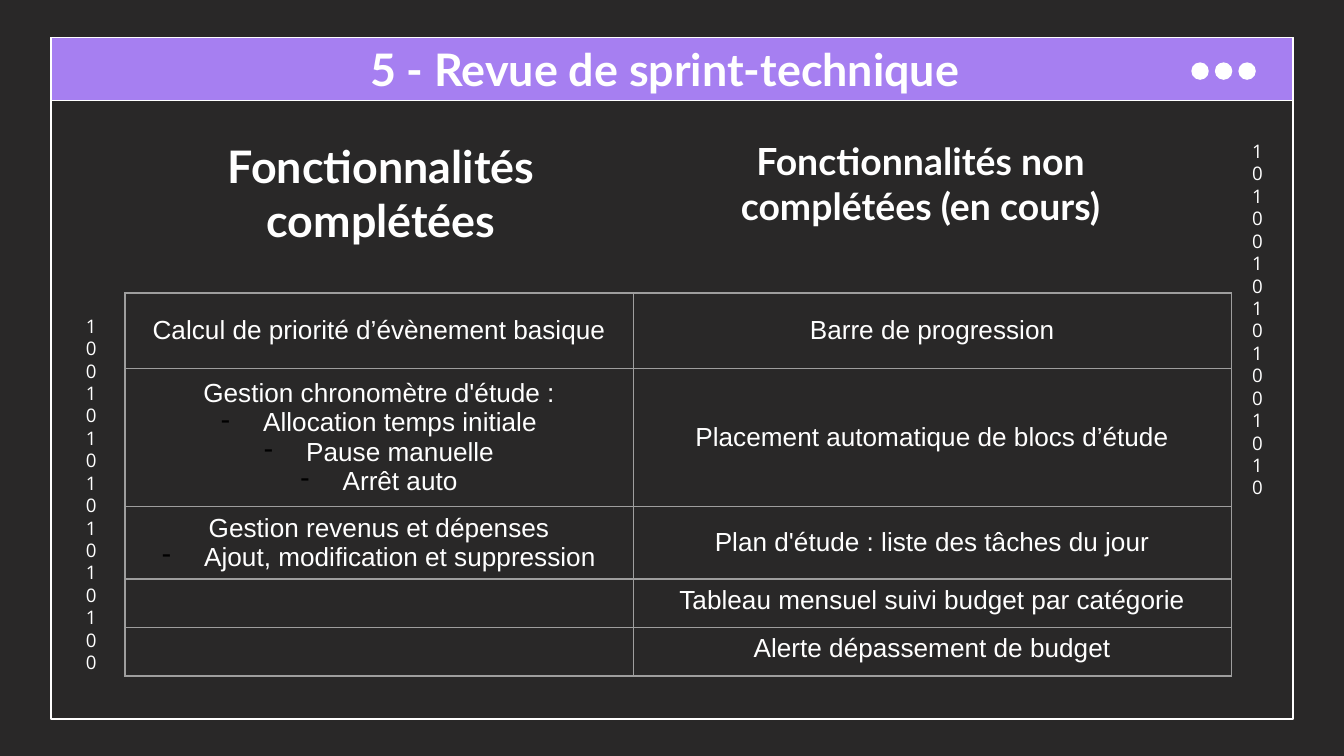
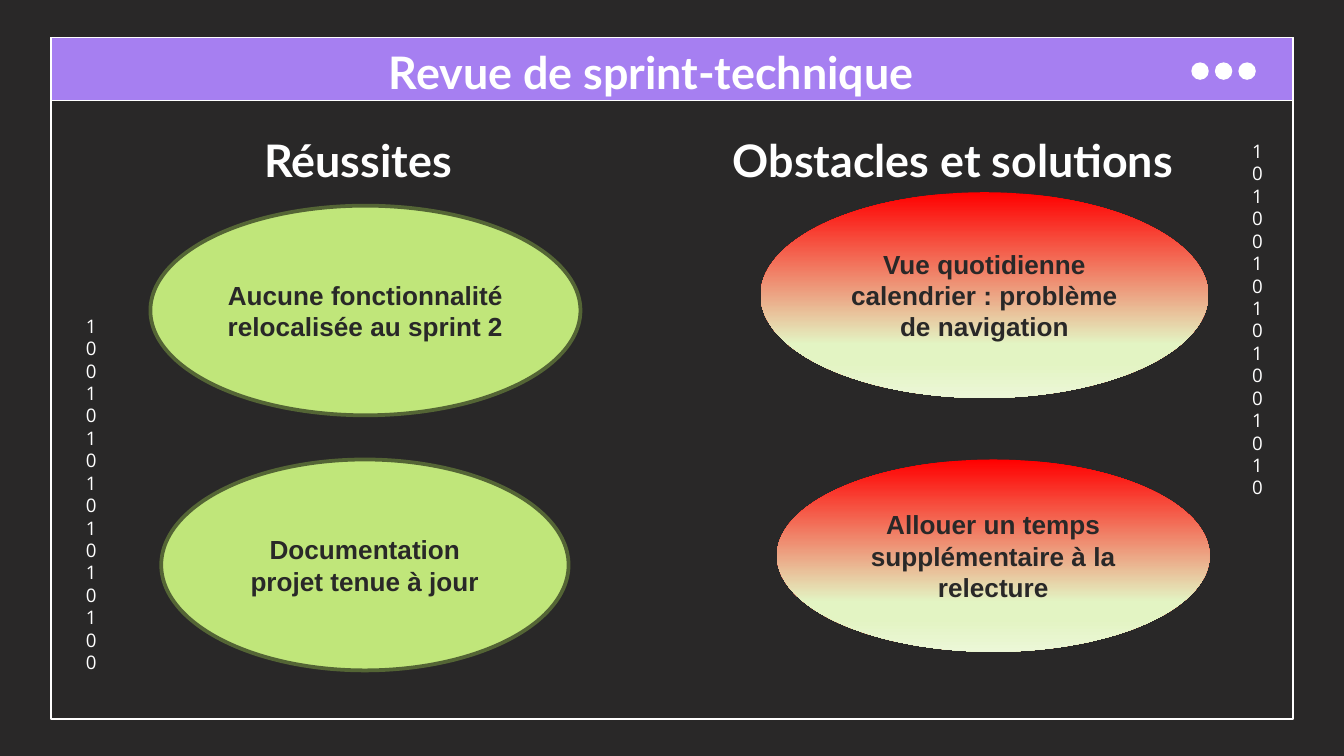
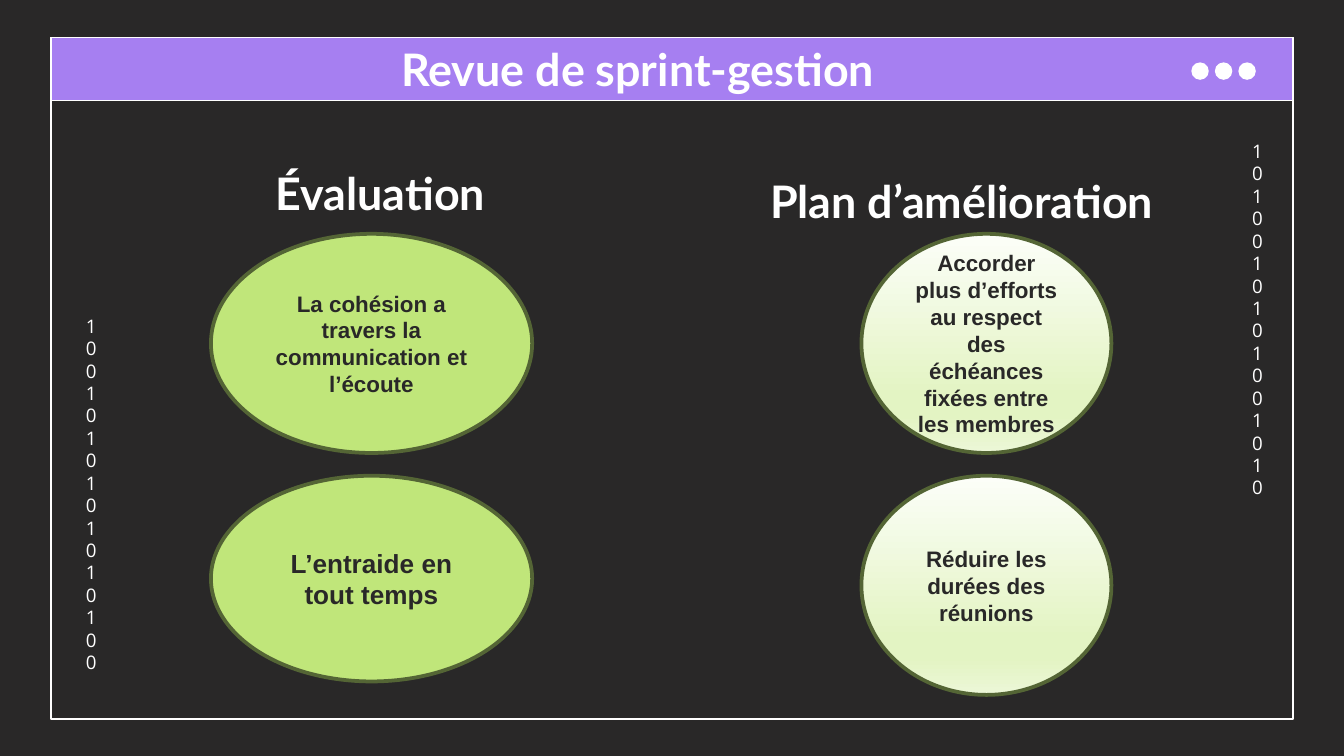
from lxml.etree import SubElement
from pptx import Presentation
from pptx.dml.color import RGBColor
from pptx.enum.shapes import MSO_SHAPE as Preset
from pptx.enum.text import MSO_ANCHOR as Anchor, MSO_AUTO_SIZE as AutoSize, PP_ALIGN as Align
from pptx.oxml.ns import qn
from pptx.util import Pt

WHITE = RGBColor(0xFF, 0xFF, 0xFF)
DARK = RGBColor(0x29, 0x28, 0x28)
PURPLE = RGBColor(0xA6, 0x7F, 0xF1)
GREEN = RGBColor(0xC0, 0xE6, 0x7A)
OLIVE = RGBColor(0x54, 0x65, 0x35)
GREY = RGBColor(0x9E, 0x9E, 0x9E)
BLACK = RGBColor(0, 0, 0)
RED = RGBColor(0xFF, 0, 0)
CREAM = RGBColor(0xFC, 0xFE, 0xF8)
PALE = RGBColor(0xE3, 0xF4, 0xC3)
PALEST = RGBColor(0xEC, 0xF7, 0xD7)

RED_FADE = [(0, RED), (74, PALE), (83, PALE), (100, PALEST)]
CREAM_FADE = [(0, CREAM), (74, PALE), (83, PALE), (100, PALEST)]

TITLE_FONT, BODY_FONT, DIGIT_FONT = "Lato", "Arial", "Open Sans"
INSET = 7.2

# Boxes are (left, top, width, height) in points.
FRAME = (27.4, 20.2, 665.3, 365)
BAND_HEIGHT = 33.8
DOT_LEFT, DOT_TOP, DOT_SIZE, DOT_STEP, DOT_COUNT = 638.6, 33.8, 8.6, 12.6, 3
DIGIT_COLUMNS = [
    ("1010010101001010", (663.8, 67.7, 17.3, 201.6)),
    ("1001010101010100", (38.9, 161.3, 17.3, 201.6)),
]

# Headings: text, size, box. Bubbles: text, size, fill, outline, box.
SLIDES = [
    {
        "title": ("5 - Revue de sprint-technique", (85.7, 15.1, 540.7, 38.2)),
        "headings": [
            ("Fonctionnalités complétées", 24, (85.7, 67, 236.9, 68.4)),
            ("Fonctionnalités non complétées (en cours)", 20, (360, 67, 266.4, 75.6)),
        ],
        "features": [
            (["Calcul de priorité d’évènement basique"], ["Barre de progression"]),
            (["Gestion chronomètre d'étude :", "Allocation temps initiale",
              "Pause manuelle", "Arrêt auto"],
             ["Placement automatique de blocs d’étude"]),
            (["Gestion revenus et dépenses", "Ajout, modification et suppression"],
             ["Plan d'étude : liste des tâches du jour"]),
            ([], ["Tableau mensuel suivi budget par catégorie"]),
            ([], ["Alerte dépassement de budget"]),
        ],
    },
    {
        "title": ("Revue de sprint-technique", (78.5, 16.6, 540.7, 38.2)),
        "headings": [
            ("Réussites", 24, (73.4, 64.1, 236.9, 37.4)),
            ("Obstacles et solutions", 24, (360, 64.1, 301, 38.2)),
        ],
        "bubbles": [
            ("Aucune fonctionnalité relocalisée au sprint 2", 14, GREEN, OLIVE,
             (80.6, 110.2, 230.4, 112.3)),
            ("Documentation projet tenue à jour", 14, GREEN, OLIVE,
             (86.4, 246.2, 218.2, 113)),
            ("Vue quotidienne calendrier : problème de navigation", 14, RED_FADE, None,
             (407.5, 103, 239.8, 110.2)),
            ("Allouer un temps supplémentaire à la relecture", 14, RED_FADE, None,
             (416.2, 246.2, 231.8, 103)),
        ],
    },
    {
        "title": ("Revue de sprint-gestion", (71.3, 15.1, 540.7, 34.6)),
        "headings": [
            ("Évaluation", 24, (71.3, 81.4, 265, 38.9)),
            ("Plan d’amélioration", 24, (373, 85.7, 284.4, 37.4)),
        ],
        "bubbles": [
            ("La cohésion a travers la communication et l’écoute", 12, GREEN, OLIVE,
             (113, 125.3, 172.1, 117.4)),
            ("Accorder plus d’efforts au respect des échéances fixées entre les membres",
             12, CREAM_FADE, OLIVE, (461.5, 125.3, 133.9, 117.4)),
            ("Réduire les durées des réunions", 12, CREAM_FADE, OLIVE,
             (461.5, 254.9, 133.9, 117.4)),
            ("L’entraide en tout temps", 14, GREEN, OLIVE,
             (113, 254.9, 172.1, 110.2)),
        ],
    },
]
TABLE_LEFT, TABLE_TOP = 67, 157
COLUMN_WIDTHS = [272.2, 320.4]
ROW_HEIGHTS = [40.3, 74.2, 26, 26, 26]
MIDDLE_ROWS = 3
FEATURE_SIZE = 14
BULLET_INDENT = 22.5


def points(box):
    return [Pt(length) for length in box]


def style(paragraph, font_name, size, color, bold=False):
    paragraph.alignment = Align.CENTER
    font = paragraph.font
    font.name, font.size, font.bold = font_name, Pt(size), bold
    font.color.rgb = color


def write(shape, text, font_name, size, bold=True):
    """Fill a text box or title with white, top-anchored, centred text."""
    frame = shape.text_frame
    frame.word_wrap = True
    frame.auto_size = AutoSize.NONE
    frame.vertical_anchor = Anchor.TOP
    frame.margin_left = frame.margin_right = Pt(INSET)
    frame.margin_top = frame.margin_bottom = Pt(INSET)
    frame.text = text
    style(frame.paragraphs[0], font_name, size, WHITE, bold)


def add_text(slide, text, box, font_name, size, bold=True):
    label = slide.shapes.add_textbox(*points(box))
    write(label, text, font_name, size, bold)
    return label


def add_solid_color(parent, color):
    SubElement(SubElement(parent, qn("a:solidFill")), qn("a:srgbClr"), val=str(color))


def fade(shape, stops):
    """Fill from top to bottom with (percent, colour) stops."""
    shape.fill.gradient()
    shape.fill.gradient_angle = 270
    stop_list = shape._element.spPr.find(qn("a:gradFill")).find(qn("a:gsLst"))
    for stop in list(stop_list):
        stop_list.remove(stop)
    for percent, color in stops:
        stop = SubElement(stop_list, qn("a:gs"), pos=str(percent * 1000))
        SubElement(stop, qn("a:srgbClr"), val=str(color))


def add_outlined(slide, preset, box, fill, outline, width):
    shape = slide.shapes.add_shape(preset, *points(box))
    shape.shadow.inherit = False
    if fill is None:
        shape.fill.background()
    elif isinstance(fill, list):
        fade(shape, fill)
    else:
        shape.fill.solid()
        shape.fill.fore_color.rgb = fill
    if outline is None:
        shape.line.fill.background()
    else:
        shape.line.color.rgb = outline
        shape.line.width = Pt(width)
    return shape


def add_window(slide, layout):
    """Draw the window frame and digit columns, then hand them to the layout."""
    left, top, width, _ = FRAME
    parts = [
        add_outlined(slide, Preset.RECTANGLE, FRAME, None, WHITE, 0.75),
        add_outlined(slide, Preset.RECTANGLE, (left, top, width, BAND_HEIGHT),
                     PURPLE, WHITE, 0.75),
    ]
    for i in range(DOT_COUNT):
        dot_box = (DOT_LEFT + i * DOT_STEP, DOT_TOP, DOT_SIZE, DOT_SIZE)
        parts.append(add_outlined(slide, Preset.OVAL, dot_box, WHITE, WHITE, 0.75))
    for digits, box in DIGIT_COLUMNS:
        parts.append(add_text(slide, digits, box, DIGIT_FONT, 10, bold=False))
    for part in parts:
        layout.shapes._spTree.append(part._element)


def add_bubble(slide, text, size, fill, outline, box):
    bubble = add_outlined(slide, Preset.OVAL, box, fill, outline, 2)
    frame = bubble.text_frame
    frame.word_wrap = True
    frame.vertical_anchor = Anchor.MIDDLE
    frame.text = text
    style(frame.paragraphs[0], BODY_FONT, size, DARK, bold=True)


def add_dash(paragraph):
    properties = paragraph._p.get_or_add_pPr()
    indent = Pt(BULLET_INDENT)
    properties.set("marL", str(indent))
    properties.set("indent", str(-indent))
    color = SubElement(properties, qn("a:buClr"))
    SubElement(color, qn("a:srgbClr"), val=str(BLACK))
    SubElement(properties, qn("a:buChar"), char="-")


def fill_cell(cell, lines):
    properties = cell._tc.get_or_add_tcPr()
    for side in ("lnL", "lnR", "lnT", "lnB"):
        border = SubElement(properties, qn(f"a:{side}"), w=str(Pt(0.75)))
        add_solid_color(border, GREY)
    cell.fill.background()
    frame = cell.text_frame
    if not lines:
        SubElement(frame.paragraphs[0]._p, qn("a:endParaRPr"), sz=str(FEATURE_SIZE * 100))
        return
    frame.text = "\n".join(lines)
    for i, paragraph in enumerate(frame.paragraphs):
        if i:
            add_dash(paragraph)
        style(paragraph, BODY_FONT, FEATURE_SIZE, WHITE)


def add_features(slide, features):
    box = (TABLE_LEFT, TABLE_TOP, sum(COLUMN_WIDTHS), sum(ROW_HEIGHTS))
    table = slide.shapes.add_table(len(features), len(COLUMN_WIDTHS), *points(box)).table
    table.first_row = table.horz_banding = False
    for column, width in zip(table.columns, COLUMN_WIDTHS):
        column.width = Pt(width)
    for r, (row, height) in enumerate(zip(features, ROW_HEIGHTS)):
        table.rows[r].height = Pt(height)
        for c, lines in enumerate(row):
            cell = table.cell(r, c)
            fill_cell(cell, lines)
            if r < MIDDLE_ROWS:
                cell.vertical_anchor = Anchor.MIDDLE


def add_content(slide, content):
    text, box = content["title"]
    title = slide.shapes.title
    title.left, title.top, title.width, title.height = points(box)
    write(title, text, TITLE_FONT, 24)
    for text, size, box in content["headings"]:
        add_text(slide, text, box, TITLE_FONT, size)
    if "features" in content:
        add_features(slide, content["features"])
    for bubble in content.get("bubbles", []):
        add_bubble(slide, *bubble)


def main():
    deck = Presentation()
    deck.slide_width, deck.slide_height = Pt(720), Pt(405)
    background = deck.slide_master.background.fill
    background.solid()
    background.fore_color.rgb = DARK

    layout = deck.slide_layouts.get_by_name("Title Only")
    for footer in list(layout.placeholders)[1:]:
        layout.shapes._spTree.remove(footer._element)

    slides = [deck.slides.add_slide(layout) for _ in SLIDES]
    add_window(slides[0], layout)
    for slide, content in zip(slides, SLIDES):
        add_content(slide, content)
    deck.save("out.pptx")


if __name__ == "__main__":
    main()
